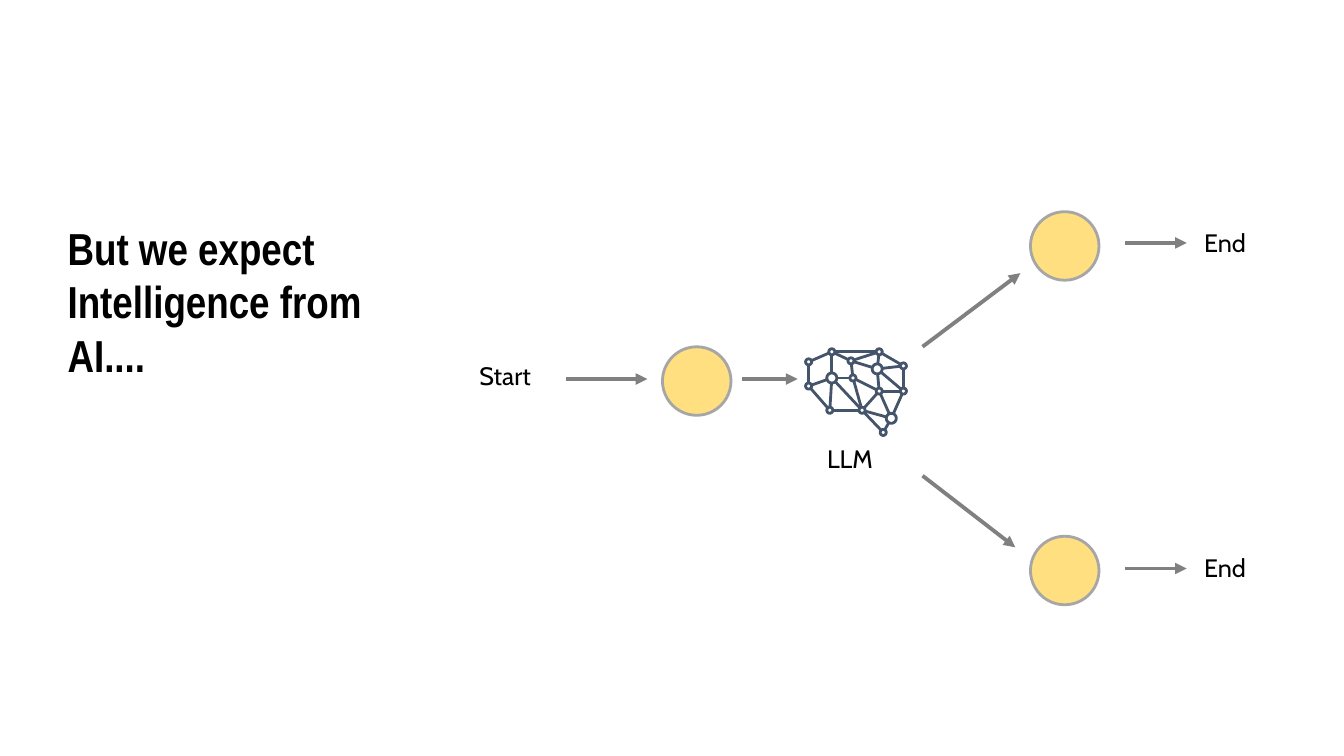
from math import cos, sin, pi, hypot
from pptx import Presentation
from pptx.dml.color import RGBColor
from pptx.enum.shapes import MSO_CONNECTOR, MSO_SHAPE
from pptx.enum.text import MSO_ANCHOR, MSO_AUTO_SIZE, PP_ALIGN
from pptx.oxml.ns import qn
from pptx.util import Pt
from lxml.etree import SubElement

PX = 9144
COLORS = {
    "text": "000000",
    "arrow": "808080",
    "step": "FFC000",
    "step_edge": "A6A6A6",
    "brain": "44546A",
}


def rgb(name):
    return RGBColor.from_string(COLORS[name])


def write(paragraph, words, font, size, bold):
    run = paragraph.add_run()
    run.text = words
    run.font.name = font
    run.font.size = Pt(size)
    run.font.bold = bold
    run.font.color.rgb = rgb("text")


deck = Presentation()
deck.slide_width = 1333 * PX
deck.slide_height = 750 * PX
slide = deck.slides.add_slide(deck.slide_layouts[5])

headline = slide.shapes.title
headline.left, headline.top, headline.width, headline.height = [v * PX for v in (57, 210, 350, 177)]
headline_frame = headline.text_frame
headline_frame.word_wrap = True
headline_frame.auto_size = MSO_AUTO_SIZE.NONE
headline_frame.vertical_anchor = MSO_ANCHOR.MIDDLE
headline_frame.paragraphs[0].alignment = PP_ALIGN.LEFT
write(headline_frame.paragraphs[0], "But we expect Intelligence from AI....", "Arial Narrow", 32, True)

for words, left, top in [("Start", 449, 353), ("End", 1163, 221), ("LLM", 791, 435), ("End", 1163, 543)]:
    label = slide.shapes.add_textbox(left * PX, top * PX, 104 * PX, 40 * PX)
    label.text_frame.word_wrap = True
    label.text_frame.auto_size = MSO_AUTO_SIZE.SHAPE_TO_FIT_TEXT
    label.text_frame.paragraphs[0].alignment = PP_ALIGN.CENTER
    write(label.text_frame.paragraphs[0], words, "Cabin", 18, False)

for left, top in [(657, 344), (1022, 210), (1022, 532)]:
    step = slide.shapes.add_shape(MSO_SHAPE.OVAL, left * PX, top * PX, 68 * PX, 68 * PX)
    step.shadow.inherit = False
    step.fill.solid()
    step.fill.fore_color.rgb = rgb("step")
    step_color = step.fill._xPr.find(qn("a:solidFill"))[0]
    SubElement(step_color, qn("a:alpha")).set("val", "50000")
    step.line.color.rgb = rgb("step_edge")
    step.line.width = Pt(2)

for x1, y1, x2, y2 in [
    (561, 376, 642, 376),
    (736, 376, 791, 376),
    (915, 344, 1012, 271),
    (915, 472, 1007, 543),
    (1116, 241, 1177, 241),
    (1116, 564, 1177, 564),
]:
    arrow = slide.shapes.add_connector(MSO_CONNECTOR.STRAIGHT, x1 * PX, y1 * PX, x2 * PX, y2 * PX)
    arrow.line.color.rgb = rgb("arrow")
    arrow.line.width = Pt(2.75)
    SubElement(arrow.line._get_or_add_ln(), qn("a:tailEnd")).set("type", "triangle")
    SubElement(arrow._element.spPr, qn("a:effectLst"))

neurons = {
    "a": (825, 349), "b": (872, 349), "c": (802, 359), "d": (844, 358), "e": (896, 363),
    "f": (870, 366), "g": (825, 375), "h": (846, 375), "i": (802, 383), "j": (872, 388),
    "k": (896, 388), "l": (823, 407), "m": (855, 407), "n": (884, 415), "o": (876, 429),
}
radii = {name: 5 if name in "fgn" else 3 for name in neurons}
links = "ab ac ag ad bd be bf ci dh df ef ek fk fj gh gi gl gm hj hm il jk jm jn kn lm mn mo no"

brain_builder = slide.shapes.build_freeform(scale=1)
for name, (x, y) in neurons.items():
    ring = [
        ((x + radii[name] * cos(n * pi / 8)) * PX, (y + radii[name] * sin(n * pi / 8)) * PX)
        for n in range(16)
    ]
    brain_builder.move_to(*ring[0])
    brain_builder.add_line_segments(ring[1:], close=True)
for first, second in links.split():
    (x1, y1), (x2, y2) = neurons[first], neurons[second]
    length = hypot(x2 - x1, y2 - y1)
    dx, dy = (x2 - x1) / length, (y2 - y1) / length
    brain_builder.move_to((x1 + dx * radii[first]) * PX, (y1 + dy * radii[first]) * PX)
    brain_builder.add_line_segments(
        [((x2 - dx * radii[second]) * PX, (y2 - dy * radii[second]) * PX)], close=False
    )
brain = brain_builder.convert_to_shape()
brain.shadow.inherit = False
brain.fill.background()
brain.line.color.rgb = rgb("brain")
brain.line.width = Pt(2)

deck.save("out.pptx")
